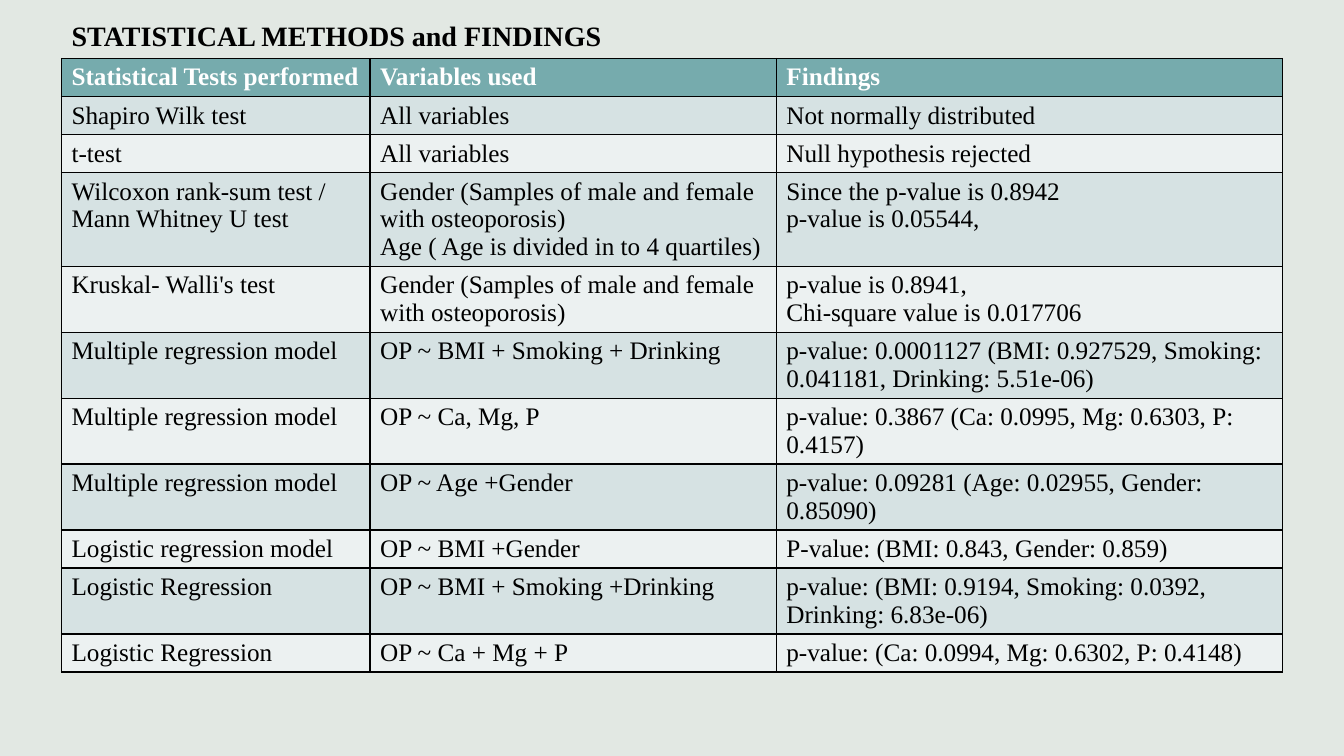
import pptx
import pptx.util
import pptx.dml.color
import pptx.enum.text
import pptx.oxml
import pptx.oxml.ns
from dataclasses import dataclass
from lxml import etree

Inches = pptx.util.Inches
Pt = pptx.util.Pt


@dataclass(frozen=True)
class Theme:
    font: str = "Times New Roman"
    title_size: int = 20
    table_size: int = 18
    background: str = "E2E8E3"
    header_fill: str = "76ABAD"
    band_fills: tuple = ("D6E2E3", "ECF1F1")
    header_text: str = "FFFFFF"
    text: str = "000000"
    border: str = "000000"
    border_width: int = 1


THEME = Theme()

TITLE = "STATISTICAL METHODS and FINDINGS"
COLUMN_WIDTHS = (3.06, 4.03, 5.02)
FIRST_LINE_HEIGHT, NEXT_LINE_HEIGHT = 0.37, 0.27

# Each row: lines of text it needs, then its cells
ROWS = [
    (1, "Statistical Tests performed", "Variables used", "Findings"),
    (1, "Shapiro Wilk test", "All variables", "Not normally distributed"),
    (1, "t-test", "All variables", "Null hypothesis rejected"),
    (3, "Wilcoxon rank-sum test / Mann Whitney U test",
     "Gender (Samples of male and female with osteoporosis)\n"
     "Age ( Age is divided in to 4 quartiles)",
     "Since the p-value is 0.8942\np-value is 0.05544,"),
    (2, "Kruskal- Walli's test",
     "Gender (Samples of male and female with osteoporosis)",
     "p-value is 0.8941,\nChi-square value is 0.017706"),
    (2, "Multiple regression model", "OP ~ BMI + Smoking + Drinking",
     "p-value: 0.0001127 (BMI: 0.927529, Smoking: 0.041181, Drinking: 5.51e-06)"),
    (2, "Multiple regression model", "OP ~ Ca, Mg, P",
     "p-value: 0.3867 (Ca: 0.0995, Mg: 0.6303, P: 0.4157)"),
    (2, "Multiple regression model", "OP ~ Age +Gender",
     "p-value: 0.09281 (Age: 0.02955, Gender: 0.85090)"),
    (1, "Logistic regression model", "OP ~ BMI +Gender",
     "P-value: (BMI: 0.843, Gender: 0.859)"),
    (2, "Logistic Regression", "OP ~ BMI + Smoking +Drinking",
     "p-value: (BMI: 0.9194, Smoking: 0.0392, Drinking: 6.83e-06)"),
    (1, "Logistic Regression", "OP ~ Ca + Mg + P",
     "p-value: (Ca: 0.0994, Mg: 0.6302, P: 0.4148)"),
]


def color(value):
    return pptx.dml.color.RGBColor.from_string(value)


def format_text(text_frame, size, text_color, bold):
    for paragraph in text_frame.paragraphs:
        for run in paragraph.runs:
            run.font.name = THEME.font
            run.font.size = Pt(size)
            run.font.bold = bold
            run.font.color.rgb = color(text_color)


def add_borders(cell):
    properties = cell._tc.get_or_add_tcPr()
    qn = pptx.oxml.ns.qn
    for position, side in enumerate(("a:lnL", "a:lnR", "a:lnT", "a:lnB")):
        line = etree.Element(qn(side), w=str(Pt(THEME.border_width)))
        fill = etree.SubElement(line, qn("a:solidFill"))
        etree.SubElement(fill, qn("a:srgbClr"), val=THEME.border)
        properties.insert(position, line)


def place_title(slide, left, top, width, height):
    title = slide.shapes.title
    title.left, title.top = Inches(left), Inches(top)
    title.width, title.height = Inches(width), Inches(height)
    text_frame = title.text_frame
    text_frame.text = TITLE
    text_frame.word_wrap = True
    text_frame.vertical_anchor = pptx.enum.text.MSO_ANCHOR.BOTTOM
    paragraph = text_frame.paragraphs[0]
    paragraph.alignment = pptx.enum.text.PP_ALIGN.LEFT
    paragraph.line_spacing = 0.9
    format_text(text_frame, THEME.title_size, THEME.text, True)


def add_findings_table(slide, left, top, width):
    heights = [FIRST_LINE_HEIGHT + NEXT_LINE_HEIGHT * (row[0] - 1) for row in ROWS]
    table = slide.shapes.add_table(
        len(ROWS), len(COLUMN_WIDTHS), Inches(left), Inches(top),
        Inches(width), Inches(sum(heights))).table
    for column, share in zip(table.columns, COLUMN_WIDTHS):
        column.width = Inches(width * share / sum(COLUMN_WIDTHS))

    for row_index, (line_count, *texts) in enumerate(ROWS):
        table.rows[row_index].height = Inches(heights[row_index])
        is_header = row_index == 0
        fill = THEME.header_fill if is_header else THEME.band_fills[(row_index - 1) % 2]
        text_color = THEME.header_text if is_header else THEME.text
        for column_index, text in enumerate(texts):
            cell = table.cell(row_index, column_index)
            cell.text_frame.text = text
            format_text(cell.text_frame, THEME.table_size, text_color, is_header)
            cell.fill.solid()
            cell.fill.fore_color.rgb = color(fill)
            add_borders(cell)


def build_findings_slide(presentation):
    # Title Only layout
    slide = presentation.slides.add_slide(presentation.slide_layouts[5])
    slide.background.fill.solid()
    slide.background.fill.fore_color.rgb = color(THEME.background)
    left, table_top, title_height = 0.61, 0.58, 1.22
    # Title sits directly on top of the table
    place_title(slide, left, table_top - title_height - 0.01, 11.5, title_height)
    add_findings_table(slide, left, table_top, sum(COLUMN_WIDTHS))


def main():
    presentation = pptx.Presentation()
    presentation.slide_width = Inches(13.33)
    presentation.slide_height = Inches(7.5)
    build_findings_slide(presentation)
    presentation.save("out.pptx")


if __name__ == "__main__":
    main()
